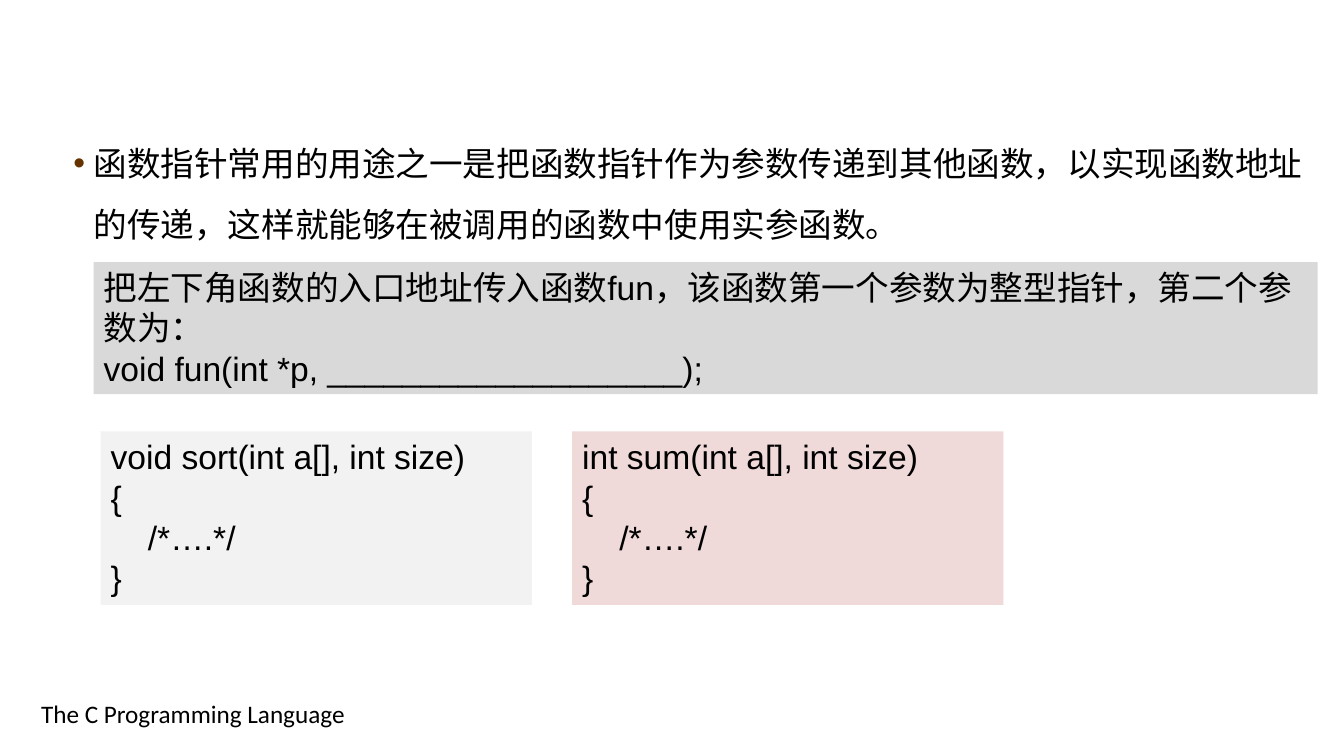
"""Build a slide on passing function pointers as arguments in C."""
from dataclasses import dataclass

from lxml.etree import SubElement
from pptx import Presentation
from pptx.dml.color import RGBColor as RGB
from pptx.enum.shapes import MSO_SHAPE as Preset
from pptx.enum.text import MSO_ANCHOR as Anchor, PP_ALIGN as Align
from pptx.oxml.ns import qn
from pptx.slide import Slide
from pptx.text.text import TextFrame, _Paragraph as Paragraph, _Run as Run
from pptx.util import Inches, Pt


@dataclass(frozen=True)
class Theme:
    """Colours, fonts and type sizes of the slide."""
    ink: str = "000000"
    bullet: str = "663300"
    task: str = "D9D9D9"
    sort: str = "F2F2F2"
    total: str = "F0D9D9"
    latin: str = "Arial"
    chinese: str = "Noto Sans CJK SC"
    footer_font: str = "Calibri"
    body_size: int = 24
    footer_size: int = 18


@dataclass(frozen=True)
class Box:
    """Position and size in inches."""
    left: float
    top: float
    width: float
    height: float

    def lengths(self) -> tuple[Inches, ...]:
        """Return the box as slide lengths."""
        return tuple(Inches(v) for v in (self.left, self.top, self.width, self.height))


@dataclass(frozen=True)
class Panel:
    """A filled box with lines of text."""
    box: Box
    fill: str
    lines: tuple[str, ...]


THEME = Theme()
CODE_TOP, CODE_WIDTH, CODE_HEIGHT = 4.28, 4.28, 1.72
CODE_LEFT, CODE_GAP = 1.0, 0.4
FUNCTIONS = (
    ("void sort(int a[], int size)", THEME.sort),
    ("int sum(int a[], int size)", THEME.total),
)
TASK = Panel(Box(0.93, 2.6, 12.15, 1.31), THEME.task, (
    "把左下角函数的入口地址传入函数fun，该函数第一个参数为整型指针，第二个参数为：",
    "void fun(int *p, ___________________);",
))
CODE_PANELS = tuple(
    Panel(Box(CODE_LEFT + i * (CODE_WIDTH + CODE_GAP), CODE_TOP, CODE_WIDTH, CODE_HEIGHT),
          fill, (signature, "{", "    /*….*/", "}"))
    for i, (signature, fill) in enumerate(FUNCTIONS)
)
INTRO = (
    ("函数指针", THEME.chinese),
    ("常用的用途之一是把函数指针作为参数传递到其他函数，以实现函数地址的传递，"
     "这样就能够在被调用的函数中使用实参函数。", THEME.latin),
)


def format_run(run: Run, font: str, size: int = THEME.body_size) -> None:
    """Set typeface, size and colour of a run."""
    run.font.name = font
    run.font.size = Pt(size)
    run.font.color.rgb = RGB.from_string(THEME.ink)
    SubElement(run.font._element, qn("a:ea"), typeface=THEME.chinese)


def add_bullet(paragraph: Paragraph) -> None:
    """Give a paragraph a coloured bullet with a hanging indent."""
    properties = paragraph._p.get_or_add_pPr()
    properties.set("marL", str(Inches(0.2)))
    properties.set("indent", str(Inches(-0.2)))
    colour = SubElement(properties, qn("a:buClr"))
    SubElement(colour, qn("a:srgbClr"), val=THEME.bullet)
    SubElement(properties, qn("a:buFont"), typeface=THEME.latin)
    SubElement(properties, qn("a:buChar"), char="•")


def add_text_box(slide: Slide, box: Box) -> TextFrame:
    """Add a wrapping text box and return its frame."""
    frame = slide.shapes.add_textbox(*box.lengths()).text_frame
    frame.word_wrap = True
    return frame


def add_panel(slide: Slide, panel: Panel) -> None:
    """Draw a filled rectangle with its lines of text."""
    rectangle = slide.shapes.add_shape(Preset.RECTANGLE, *panel.box.lengths())
    rectangle.shadow.inherit = False
    rectangle.fill.solid()
    rectangle.fill.fore_color.rgb = RGB.from_string(panel.fill)
    rectangle.line.fill.background()
    frame = rectangle.text_frame
    frame.word_wrap = True
    frame.vertical_anchor = Anchor.TOP
    frame.text = "\n".join(panel.lines)
    for paragraph in frame.paragraphs:
        paragraph.alignment = Align.LEFT
        for run in paragraph.runs:
            format_run(run, THEME.latin)


def add_footer(slide: Slide) -> None:
    """Add the course name at the bottom."""
    frame = add_text_box(slide, Box(0.31, 6.88, 5.34, 0.4))
    frame.text = "The C Programming Language"
    format_run(frame.paragraphs[0].runs[0], THEME.footer_font, THEME.footer_size)


def add_intro(slide: Slide) -> None:
    """Add the bulleted statement on function pointers."""
    statement = add_text_box(slide, Box(0.63, 1.17, 12.71, 1.31)).paragraphs[0]
    add_bullet(statement)
    statement.line_spacing = 1.5
    for words, font in INTRO:
        run = statement.add_run()
        run.text = words
        format_run(run, font)


def main() -> None:
    """Build and save the slide."""
    deck = Presentation()
    deck.slide_width, deck.slide_height = Inches(13.34), Inches(7.5)
    slide = deck.slides.add_slide(deck.slide_layouts[6])
    add_footer(slide)
    add_intro(slide)
    for panel in (TASK, *CODE_PANELS):
        add_panel(slide, panel)
    deck.save("out.pptx")


if __name__ == "__main__":
    main()
